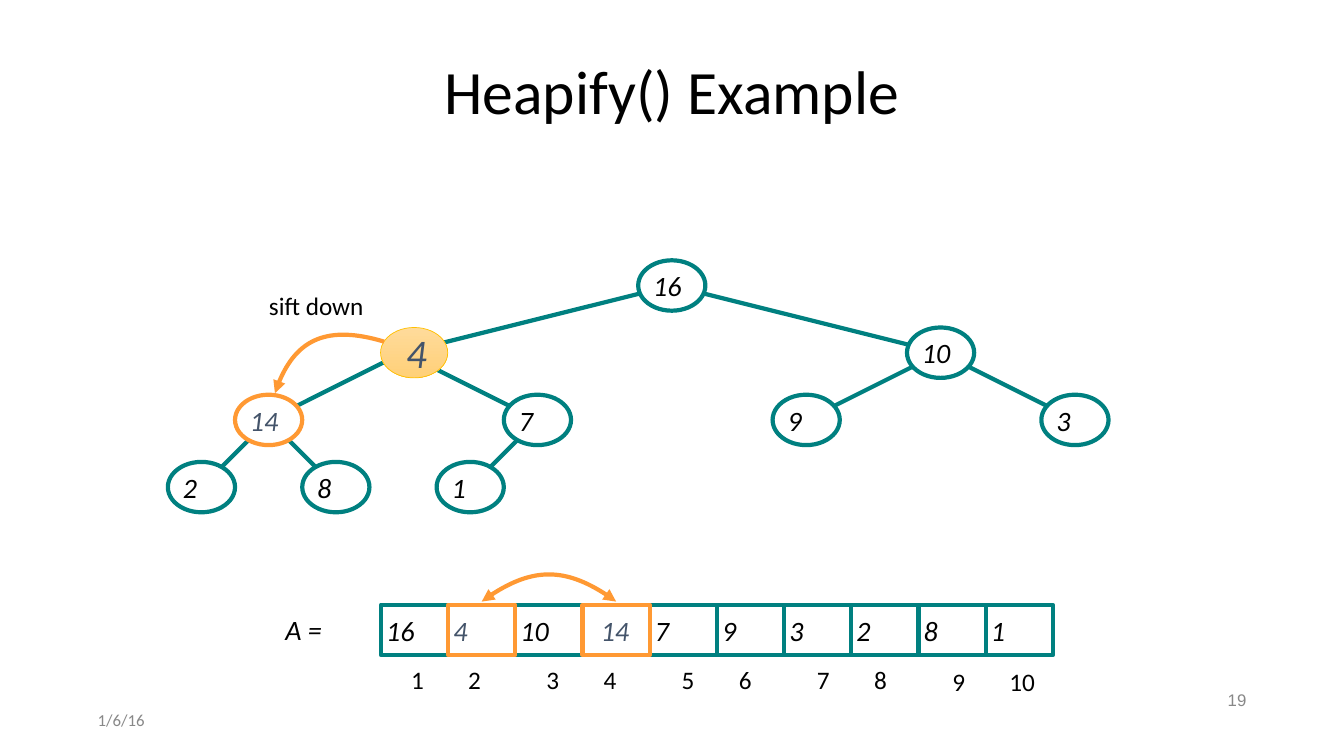
from collections import namedtuple

from lxml.etree import SubElement
from pptx import Presentation
from pptx.dml.color import RGBColor
from pptx.enum.shapes import MSO_CONNECTOR, MSO_SHAPE
from pptx.enum.text import MSO_ANCHOR, PP_ALIGN
from pptx.oxml.ns import qn
from pptx.util import Cm, Pt

TEAL = RGBColor(0x00, 0x80, 0x80)
ORANGE = RGBColor(0xFF, 0x99, 0x33)
GOLD = RGBColor(0xFF, 0xC0, 0x00)
GOLD_LIGHT = RGBColor(0xFF, 0xDB, 0x9B)
GOLD_DEEP = RGBColor(0xFF, 0xD0, 0x78)
SLATE = RGBColor(0x44, 0x54, 0x6A)
GRAY = RGBColor(0x88, 0x88, 0x88)
BLACK = RGBColor(0x00, 0x00, 0x00)
WHITE = RGBColor(0xFF, 0xFF, 0xFF)

INSET = Cm(0.13)
CELL = Cm(5.08) // 3  # width of nodes and cells, and height of a tree level
CELL_HEIGHT = Cm(1.27)

Box = namedtuple("Box", "left top width height")
Node = namedtuple("Node", "value column level parent")

# Columns and levels count in cells from the top left of the tree
HEAP = [
    Node("16", 7, 0, None), Node("4", 3, 1, 0), Node("10", 11, 1, 0),
    Node("14", 1, 2, 1), Node("7", 5, 2, 1), Node("9", 9, 2, 2),
    Node("3", 13, 2, 2), Node("2", 0, 3, 3), Node("8", 2, 3, 3),
    Node("1", 4, 3, 4),
]
SIFTED, SWAPPED = 1, 3  # positions exchanged in this step


def write(shape, text, size, color=BLACK, italic=False, name="Calibri",
          anchor=MSO_ANCHOR.MIDDLE, align=PP_ALIGN.LEFT, indent=INSET):
    frame = shape.text_frame
    frame.text = text
    frame.word_wrap = True
    frame.vertical_anchor = anchor
    frame.margin_left = indent
    frame.margin_right = frame.margin_top = frame.margin_bottom = INSET
    para = frame.paragraphs[0]
    para.alignment = align
    font = para.runs[0].font
    font.name, font.size, font.italic = name, Pt(size), italic
    font.color.rgb = color
    return para


def add_label(page, box, text, size, **style):
    write(page.shapes.add_textbox(*box), text, size, **style)


def add_value(page, kind, left, top, text, line, color, size=20, indent=INSET):
    shape = page.shapes.add_shape(kind, left, top, CELL, CELL_HEIGHT)
    shape.shadow.inherit = False
    shape.fill.solid()
    shape.fill.fore_color.rgb = WHITE
    shape.line.color.rgb = line
    shape.line.width = Pt(3)
    write(shape, text, size, color, italic=True, indent=indent)
    shape.text_frame.margin_right = 0
    return shape


def add_edge(page, start, end):
    edge = page.shapes.add_connector(MSO_CONNECTOR.STRAIGHT, *start, *end)
    edge.line.color.rgb = TEAL
    edge.line.width = Pt(3)
    SubElement(edge._element.spPr, qn("a:effectLst"))


def add_curved_arrow(page, points, ends):
    """Draw a Bézier arrow from start, two control points and end."""
    builder = page.shapes.build_freeform(*points[0])
    builder.add_line_segments(points[1:], close=False)
    arrow = builder.convert_to_shape()
    arrow.shadow.inherit = False
    arrow.fill.background()
    arrow.line.color.rgb = ORANGE
    arrow.line.width = Pt(3)
    # Turn the three segments into one cubic curve
    outline = next(arrow._element.iter(qn("a:path")))
    segments = outline.findall(qn("a:lnTo"))
    curve = SubElement(outline, qn("a:cubicBezTo"))
    for segment in segments:
        curve.append(segment[0])
        outline.remove(segment)
    for end in ends:
        SubElement(arrow.line._get_or_add_ln(), qn(f"a:{end}")).set("type", "triangle")


def add_title(page, box):
    title = page.shapes.title
    title.left, title.top, title.width, title.height = box
    para = write(title, "Heapify() Example", 44, align=PP_ALIGN.CENTER)
    para.line_spacing = 0.9


def add_tree(page, box):
    corners = [(box.left + node.column * CELL, box.top + node.level * CELL)
               for node in HEAP]
    centers = [(left + CELL // 2, top + CELL_HEIGHT // 2) for left, top in corners]
    # Edges lie behind the nodes
    for node, center in zip(HEAP, centers):
        if node.parent is not None:
            add_edge(page, centers[node.parent], center)
    for index, (node, (left, top)) in enumerate(zip(HEAP, corners)):
        if index == SIFTED:
            sifted = add_value(page, MSO_SHAPE.OVAL, left + Cm(0.28), top, node.value,
                               GOLD, SLATE, size=29, indent=Cm(0.4))
            sifted.line.width = Pt(0.5)
            sifted.fill.gradient()
            sifted.fill.gradient_angle = 270
            for stop, color in zip(sifted.fill.gradient_stops, (GOLD_LIGHT, GOLD_DEEP)):
                stop.color.rgb = color
        else:
            swapped = index == SWAPPED
            add_value(page, MSO_SHAPE.OVAL, left, top, node.value,
                      ORANGE if swapped else TEAL, SLATE if swapped else BLACK)
    # Sift-down arrow and its label
    route = [(5.45, 2.05), (4.02, 1.62), (3.11, 2.05), (2.7, 3.35)]
    add_curved_arrow(page, [(box.left + Cm(x), box.top + Cm(y)) for x, y in route],
                     ["tailEnd"])
    add_label(page, Box(box.left + Cm(2.42), box.top + Cm(0.63), Cm(2.8), Cm(1.04)),
              "sift down", 18, anchor=MSO_ANCHOR.TOP)


def add_array(page, box):
    add_label(page, Box(box.left - Cm(2.54), box.top + Cm(0.08), Cm(1.4), Cm(1.09)),
              "A =", 20, italic=True)
    # Exchanged cells come last, so their borders stay on top
    exchanged = (SIFTED, SWAPPED)
    for index in sorted(range(len(HEAP)), key=lambda position: position in exchanged):
        marked = index in exchanged
        value = HEAP[index].value
        add_value(page, MSO_SHAPE.RECTANGLE, box.left + index * CELL, box.top, value,
                  ORANGE if marked else TEAL, SLATE if marked else BLACK,
                  indent=Cm(0.46) if index == SWAPPED else INSET)
    # Swap arrow
    route = [(1.5, -0.08), (2.63, -0.94), (3.77, -0.94), (4.9, -0.08)]
    add_curved_arrow(page, [(box.left + CELL * x, box.top + Cm(y)) for x, y in
                            [(column, height) for column, height in
                             zip((1.5, 2.17, 2.83, 3.5), (y for _, y in route))]],
                     ["headEnd", "tailEnd"])
    # Index labels run in pairs
    for index in range(len(HEAP)):
        pair, second = divmod(index, 2)
        left = box.left + Cm(0.63 + 3.41 * pair + 1.44 * second)
        top = box.top + Cm(1.42 if pair == 4 else 1.37)
        add_label(page, Box(left, top, Cm(0.95 if index == 9 else 0.65), Cm(1.04)),
                  str(index + 1), 18, anchor=MSO_ANCHOR.TOP)


def add_footer(page, box):
    add_label(page, Box(box.left, box.top + Cm(0.51), Cm(7.62), Cm(0.74)),
              "1/6/16", 12, color=GRAY)
    add_label(page, Box(box.left + box.width - Cm(7.62), box.top, Cm(7.62), Cm(0.74)),
              "19", 12, color=GRAY, name="Arial", align=PP_ALIGN.RIGHT)


def main():
    deck = Presentation()
    deck.slide_width, deck.slide_height = Cm(33.87), Cm(19.05)
    page = deck.slides.add_slide(deck.slide_layouts[5])
    add_title(page, Box(Cm(2.33), Cm(1.02), Cm(29.21), Cm(2.72)))
    add_tree(page, Box(Cm(4.23), Cm(6.56), 14 * CELL, Cm(6.35)))
    add_array(page, Box(Cm(9.6), Cm(15.24), 10 * CELL, CELL_HEIGHT))
    add_footer(page, Box(Cm(2.33), Cm(17.27), Cm(29.21), Cm(1.25)))
    deck.save("out.pptx")


if __name__ == "__main__":
    main()
